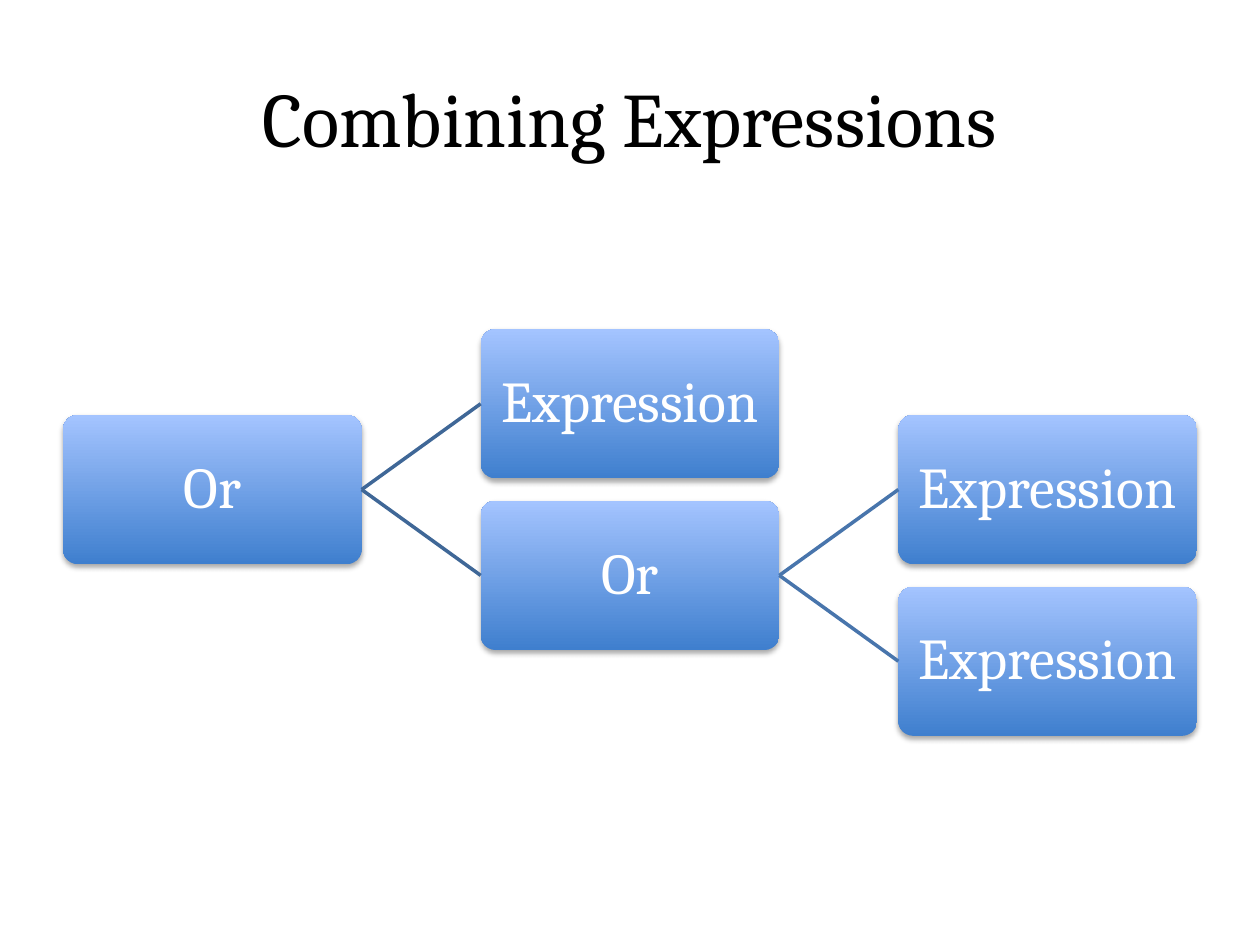
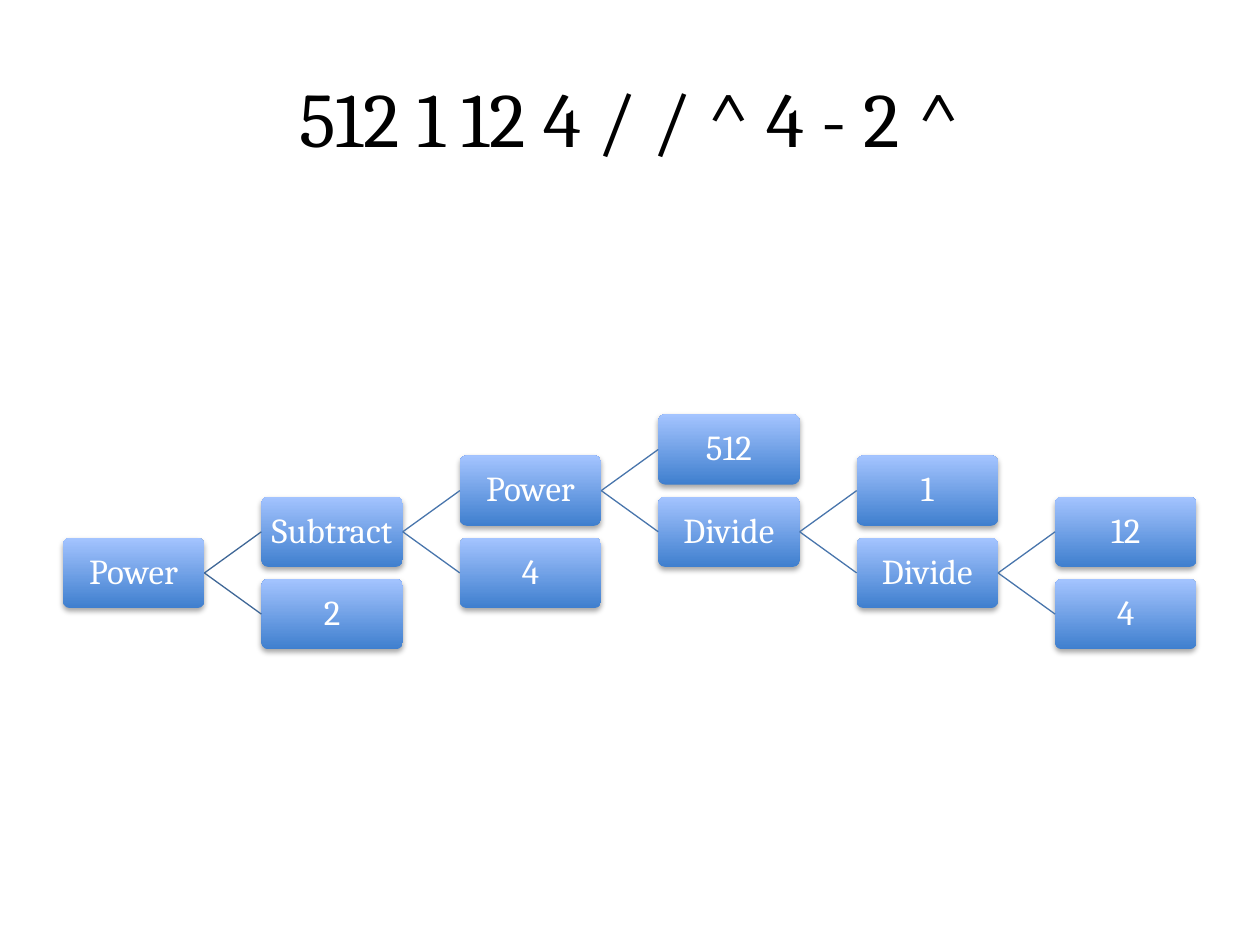
from lxml.etree import SubElement as Sub
from pptx import Presentation as Deck
from pptx.dml.color import RGBColor as RGB
from pptx.enum.shapes import MSO_CONNECTOR as Link, MSO_SHAPE as Form
from pptx.enum.text import MSO_ANCHOR as Anchor, PP_ALIGN as Align
from pptx.oxml.ns import qn
from pptx.util import Cm, Pt

# Shared style
FONT = "Cambria"
BLACK = RGB(0x00, 0x00, 0x00)
WHITE = RGB(0xFF, 0xFF, 0xFF)
DARK = RGB(0x3F, 0x7F, 0xCE)
LIGHT = RGB(0xA4, 0xC4, 0xFF)
ROOT = RGB(0x3F, 0x67, 0x97)
LIMB = RGB(0x48, 0x75, 0xAC)
LEFT = 1.27


def write(frame, text, size, color, space=1.0, inset=None):
    """Fill a text frame with one centred paragraph."""
    frame.word_wrap = True
    frame.vertical_anchor = Anchor.MIDDLE
    if inset is not None:
        frame.margin_left = frame.margin_right = Cm(inset)
        frame.margin_top = frame.margin_bottom = Cm(inset)
    para = frame.paragraphs[0]
    para.alignment = Align.CENTER
    para.line_spacing = space
    run = para.add_run()
    run.text = text
    run.font.name, run.font.size = FONT, Pt(size)
    run.font.color.rgb = color


class Page:
    """One slide with a title and a tree of boxes.

    Lengths are in cm: box width and height, column step across,
    and half the row step between siblings.
    """

    def __init__(self, deck, title, wide, high, step, half, size, line, inset):
        self.shapes = deck.slides.add_slide(deck.slide_layouts[6]).shapes
        self.wide, self.high = wide, high
        self.step, self.half = step, half
        self.size, self.line, self.inset = size, line, inset
        self.title(title)

    def title(self, text):
        box = self.shapes.add_textbox(Cm(LEFT), Cm(0.76), Cm(22.86), Cm(3.18))
        write(box.text_frame, text, 44, BLACK)

    def box(self, text, left, mid):
        box = self.shapes.add_shape(
            Form.ROUNDED_RECTANGLE, Cm(left), Cm(mid - self.high / 2),
            Cm(self.wide), Cm(self.high))
        box.adjustments[0] = 0.1
        box.line.fill.background()
        box.fill.gradient()
        box.fill.gradient_angle = 90
        for stop, color in zip(box.fill.gradient_stops, (DARK, LIGHT)):
            stop.color.rgb = color
        self.shade(box)
        write(box.text_frame, text, self.size, WHITE, 0.9, self.inset)
        return box

    def shade(self, box):
        box.shadow.inherit = False
        effect = box._element.spPr.find(qn("a:effectLst"))
        outer = Sub(effect, qn("a:outerShdw"), blurRad="40000",
                    dist="23000", dir="5400000", rotWithShape="0")
        color = Sub(outer, qn("a:srgbClr"), val=str(BLACK))
        Sub(color, qn("a:alpha"), val="35000")

    def link(self, start, end, color):
        link = self.shapes.add_connector(Link.STRAIGHT, 0, 0, 0, 0)
        link.begin_connect(start, 3)  # right side
        link.end_connect(end, 1)  # left side
        link.line.color.rgb = color
        link.line.width = Pt(self.line)
        Sub(link._element.spPr, qn("a:effectLst"))

    def tree(self, node, mid, depth=0):
        """Draw a node, given as a leaf text or (text, upper, lower)."""
        text, *kids = (node,) if isinstance(node, str) else node
        box = self.box(text, LEFT + depth * self.step, mid)
        for kid, sign in zip(kids, (-1, 1)):
            child = self.tree(kid, mid + sign * self.half, depth + 1)
            self.link(box, child, LIMB if depth else ROOT)
        return box


def main():
    deck = Deck()
    deck.slide_width, deck.slide_height = Cm(25.4), Cm(19.05)

    # Nested choice
    page = Page(deck, "Combining Expressions", wide=6.02, high=3.01,
                step=8.42, half=1.73, size=33, line=2, inset=0.05)
    page.tree(("Or", "Expression", ("Or", "Expression", "Expression")), 9.87)

    # Postfix sum as a tree
    page = Page(deck, "512 1 12 4 / / ^ 4 - 2 ^", wide=2.85, high=1.42,
                step=4, half=0.83, size=20, line=0.75, inset=0.03)
    ratio = ("Divide", "1", ("Divide", "12", "4"))
    power = ("Power", "512", ratio)
    page.tree(("Power", ("Subtract", power, "4"), "2"), 11.55)

    deck.save("out.pptx")


if __name__ == "__main__":
    main()
